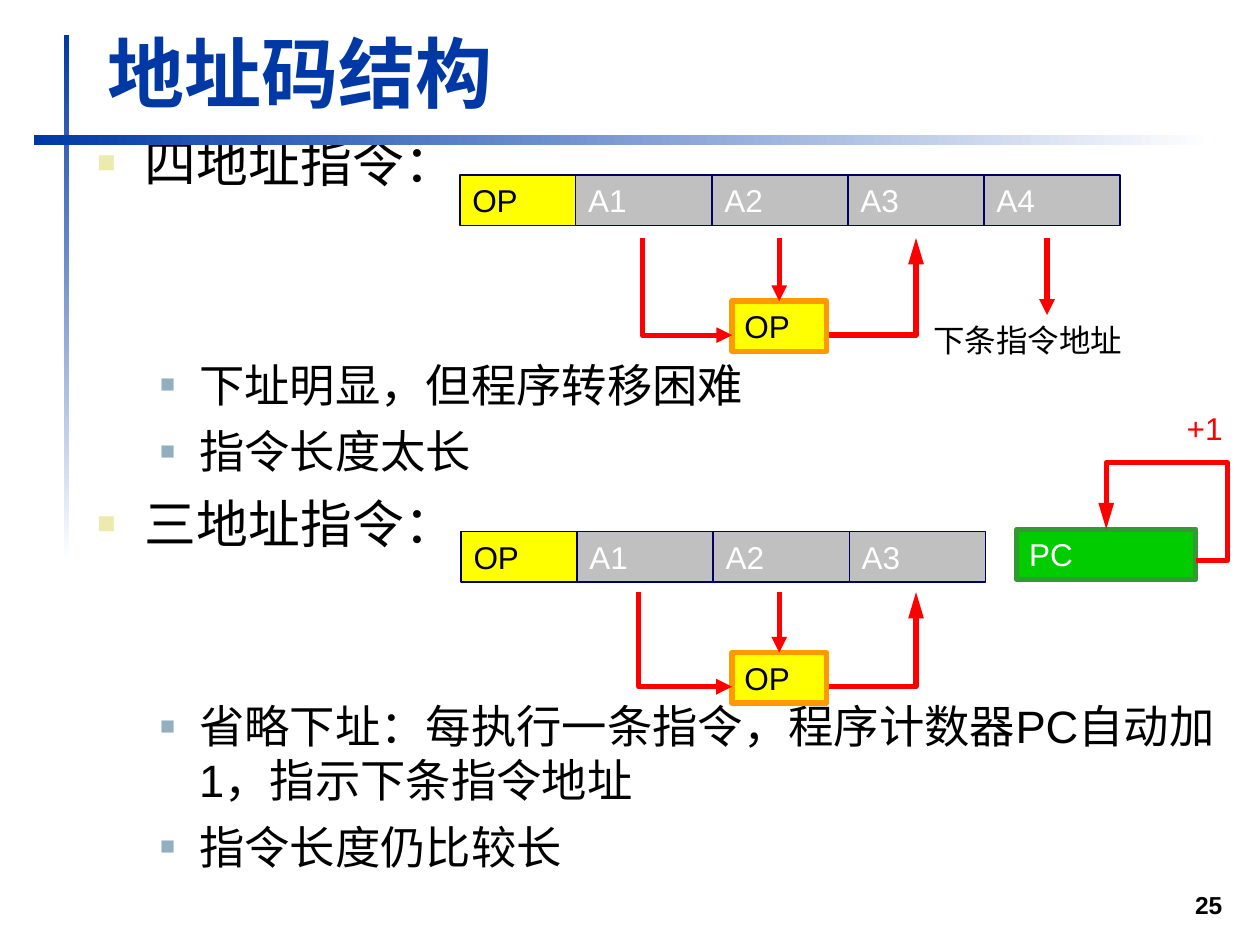
import pptx
import pptx.dml.color
import pptx.enum.shapes
import pptx.enum.text
import pptx.oxml.ns
import pptx.util
from lxml import etree

Inches, Pt = pptx.util.Inches, pptx.util.Pt
qn = pptx.oxml.ns.qn
ANCHOR, ALIGN = pptx.enum.text.MSO_ANCHOR, pptx.enum.text.PP_ALIGN
CONNECTOR = pptx.enum.shapes.MSO_CONNECTOR
FONT = "Arial"
COLORS = {
    "blue": "0039A6", "white": "FFFFFF", "black": "000000", "navy": "000066",
    "yellow": "FFFF00", "gray": "C0C0C0", "orange": "FF9900", "red": "FF0000",
    "green": "00CC00", "dark_green": "339933", "cream": "ECEAAC", "steel": "91AFBF",
}

TITLE = "地址码结构"
PAGE = "25"
# level, text, space before in points (large where a diagram sits above)
POINTS = [
    (0, "四地址指令：", 0),
    (1, "下址明显，但程序转移困难", 94),
    (1, "指令长度太长", 7),
    (0, "三地址指令：", 8),
    (1, "省略下址：每执行一条指令，程序计数器PC自动加1，指示下条指令地址", 83),
    (1, "指令长度仍比较长", 7),
]
# size, line pitch, left margin, hanging indent, bullet colour, bullet percent
LEVELS = [
    (29.6, 35.3, 0.38, 0.38, "cream", 60),
    (25.9, 30.9, 0.81, 0.31, "steel", 55),
]
# left, top, addresses, operator top, A1 arrow x, arrow top
FORMATS = [
    (3.65, 1.39, ["A1", "A2", "A3", "A4"], 2.39, 5.1, 1.89),
    (3.66, 4.22, ["A1", "A2", "A3"], 5.18, 5.07, 4.7),
]
OP_WIDTH, ADDRESS_WIDTH, BOX_HEIGHT = 0.92, 1.08, 0.4
OPERATOR_LEFT, OPERATOR_WIDTH = 5.81, 0.75
RESULT_X = 7.27


def rgb(name):
    return pptx.dml.color.RGBColor.from_string(COLORS[name])


def style(paragraph, size, color, bold=False):
    font = paragraph.font
    font.name, font.size, font.bold = FONT, Pt(size), bold
    font.color.rgb = rgb(color)


def fill_text(shape, text, color, size=18, align=ALIGN.LEFT, bold=False):
    frame = shape.text_frame
    frame.word_wrap = True
    frame.vertical_anchor = ANCHOR.MIDDLE
    frame.text = text
    frame.paragraphs[0].alignment = align
    style(frame.paragraphs[0], size, color, bold)


def add_rect(slide, left, top, width, height):
    rect = slide.shapes.add_shape(
        pptx.enum.shapes.MSO_SHAPE.RECTANGLE,
        Inches(left), Inches(top), Inches(width), Inches(height))
    rect.shadow.inherit = False
    return rect


def add_box(slide, left, top, width, text, fill, line, weight, color):
    box = add_rect(slide, left, top, width, BOX_HEIGHT)
    box.fill.solid()
    box.fill.fore_color.rgb = rgb(fill)
    box.line.color.rgb = rgb(line)
    box.line.width = Pt(weight)
    fill_text(box, text, color)
    return box


def add_label(slide, left, top, width, text, color, **options):
    label = slide.shapes.add_textbox(
        Inches(left), Inches(top), Inches(width), Inches(BOX_HEIGHT))
    fill_text(label, text, color, **options)


def add_rule(slide, left, top, width, height, angle):
    rule = add_rect(slide, left, top, width, height)
    rule.line.fill.background()
    rule.fill.gradient()
    rule.fill.gradient_angle = angle
    for stop, color, position in zip(rule.fill.gradient_stops, ("blue", "white"), (0, 1)):
        stop.color.rgb = rgb(color)
        stop.position = position


def add_arrow(slide, start, end, bend=None, adjust=(), head="med"):
    kind = CONNECTOR.ELBOW if bend else CONNECTOR.STRAIGHT
    arrow = slide.shapes.add_connector(kind, *(Inches(v) for v in (*start, *end)))
    arrow.line.color.rgb = rgb("red")
    arrow.line.width = Pt(3)
    properties = arrow._element.spPr
    etree.SubElement(properties.find(qn("a:ln")), qn("a:tailEnd"),
                     type="triangle", w="med", len=head)
    etree.SubElement(properties, qn("a:effectLst"))
    if bend:
        geometry = properties.find(qn("a:prstGeom"))
        geometry.set("prst", bend)
        for number, value in enumerate(adjust, 1):
            etree.SubElement(geometry.find(qn("a:avLst")), qn("a:gd"),
                             name=f"adj{number}", fmla=f"val {value}")
    return arrow


def add_down_right_arrow(slide, start, end):
    """Quarter-turned, mirrored elbow that drops first and then runs right."""
    (x1, y1), (x2, y2) = start, end
    middle_x, middle_y = (x1 + x2) / 2, (y1 + y2) / 2
    half_width, half_height = (y2 - y1) / 2, (x2 - x1) / 2
    arrow = add_arrow(slide, (middle_x + half_width, middle_y - half_height),
                      (middle_x - half_width, middle_y + half_height), "bentConnector2")
    arrow._element.spPr.find(qn("a:xfrm")).set("rot", str(270 * 60000))


def add_points(body):
    frame = body.text_frame
    frame.auto_size = pptx.enum.text.MSO_AUTO_SIZE.NONE
    for index, (level, text, before) in enumerate(POINTS):
        size, pitch, margin, hanging, bullet_color, percent = LEVELS[level]
        point = frame.paragraphs[0] if index == 0 else frame.add_paragraph()
        point.text = text
        point.level = level
        point.space_before = Pt(before)
        point.line_spacing = Pt(pitch)
        properties = point._p.get_or_add_pPr()
        properties.set("marL", str(Inches(margin)))
        properties.set("indent", str(-Inches(hanging)))
        tint = etree.SubElement(properties, qn("a:buClr"))
        etree.SubElement(tint, qn("a:srgbClr"), val=COLORS[bullet_color])
        etree.SubElement(properties, qn("a:buSzPct"), val=str(percent * 1000))
        etree.SubElement(properties, qn("a:buFont"), typeface=FONT)
        etree.SubElement(properties, qn("a:buChar"), char="■")
        style(point, size, "black")


def add_format(slide, left, top, addresses, operator_top, a1_x, arrow_top):
    add_box(slide, left, top, OP_WIDTH, "OP", "yellow", "navy", 0.75, "black")
    for column, address in enumerate(addresses):
        add_box(slide, left + OP_WIDTH + column * ADDRESS_WIDTH, top, ADDRESS_WIDTH,
                address, "gray", "navy", 0.75, "white")
    operator = add_box(slide, OPERATOR_LEFT, operator_top, OPERATOR_WIDTH,
                       "OP", "yellow", "orange", 3, "black")
    side_y = operator_top + 0.27
    middle_x = OPERATOR_LEFT + OPERATOR_WIDTH / 2
    add_down_right_arrow(slide, (a1_x, arrow_top), (OPERATOR_LEFT, side_y))
    add_arrow(slide, (middle_x, arrow_top), (middle_x, operator_top)).end_connect(operator, 0)
    add_arrow(slide, (OPERATOR_LEFT + OPERATOR_WIDTH + 0.02, side_y), (RESULT_X, arrow_top),
              "bentConnector2", head="lg")


def place(shape, left, top, width, height):
    shape.left, shape.top = Inches(left), Inches(top)
    shape.width, shape.height = Inches(width), Inches(height)


def main():
    deck = pptx.Presentation()
    deck.slide_width, deck.slide_height = Inches(10), Inches(7.5)
    slide = deck.slides.add_slide(deck.slide_layouts[1])

    add_rule(slide, 0.51, 0.28, 0.04, 4.17, 270)
    add_rule(slide, 0.27, 1.07, 9.37, 0.08, 0)
    title, body = slide.shapes.title, slide.placeholders[1]
    place(title, 0.75, 0.16, 9.03, 0.83)
    fill_text(title, TITLE, "blue", size=44, bold=True)
    title.text_frame.vertical_anchor = ANCHOR.BOTTOM
    place(body, 0.67, 0.99, 9.13, 6.12)
    add_points(body)

    for instruction in FORMATS:
        add_format(slide, *instruction)
    add_arrow(slide, (8.31, 1.89), (8.31, 2.5))
    add_label(slide, 7.31, 2.5, 2.33, "下条指令地址", "black")

    add_box(slide, 8.07, 4.2, 1.42, "PC", "green", "dark_green", 3, "white")
    add_arrow(slide, (9.49, 4.45), (8.78, 4.2), "bentConnector4", (-35300, 311000), "lg")
    add_label(slide, 9.32, 3.2, 0.67, "+1", "red")
    add_label(slide, 1.85, 6.98, 7.95, PAGE, "black", size=14, align=ALIGN.RIGHT, bold=True)
    deck.save("out.pptx")


if __name__ == "__main__":
    main()
